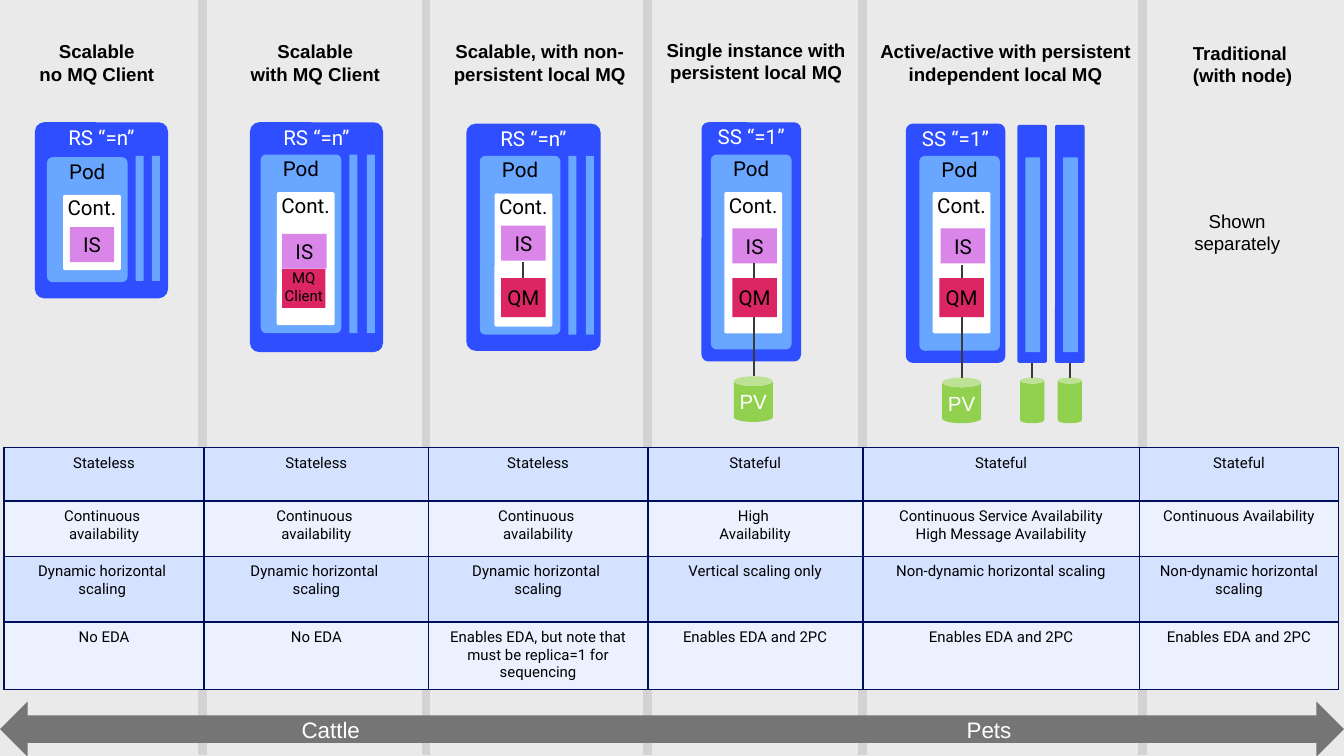
from lxml import etree
from pptx import Presentation
from pptx.dml.color import RGBColor
from pptx.enum.shapes import MSO_CONNECTOR, MSO_SHAPE
from pptx.enum.text import MSO_ANCHOR, PP_ALIGN
from pptx.oxml.ns import qn
from pptx.util import Pt

ROUNDED, CAN = MSO_SHAPE.ROUNDED_RECTANGLE, MSO_SHAPE.CAN
LEFT_ARROW, RIGHT_ARROW = MSO_SHAPE.LEFT_ARROW, MSO_SHAPE.RIGHT_ARROW
STRAIGHT = MSO_CONNECTOR.STRAIGHT
TOP, MIDDLE, CENTER = MSO_ANCHOR.TOP, MSO_ANCHOR.MIDDLE, PP_ALIGN.CENTER
SCALE = 9144
SLIDE_WIDTH, DIVIDER_HEIGHT = 1000, 562

COLORS = {
    "background": "EAEAEA", "divider": "D3D3D3", "link": "3A3A3A", "set": "2F4EFF",
    "pod": "69A6FF", "container": "FFFFFF", "server": "DA85E8", "queue": "DB2663",
    "volume": "92D050", "arrow": "757575", "black": "000000", "white": "FFFFFF",
    "border": "000E5E", "row_dark": "D4E1FF", "row_light": "EBF1FF",
}
ROBOTO = {"name": "Roboto", "size": Pt(11)}
SMALL = {"name": "Roboto", "size": Pt(8)}
ARIAL = {"name": "Arial", "size": Pt(11)}
HEADING = {"name": "Arial", "size": Pt(10), "bold": True}
NOTE = {"name": "Arial", "size": Pt(10)}
ARROW = {"name": "Arial", "size": Pt(12)}

PARTS = {
    "set": (ROUNDED, 0.069, "set", "", ROBOTO, "white", TOP),
    "pod": (ROUNDED, 0.069, "pod", "Pod", ROBOTO, "black", TOP),
    "replica": (ROUNDED, 0.069, "pod", "", ROBOTO, "black", TOP),
    "container": (ROUNDED, 0.031, "container", "Cont.", ROBOTO, "black", TOP),
    "server": (ROUNDED, 0, "server", "IS", ROBOTO, "black", MIDDLE),
    "manager": (ROUNDED, 0, "queue", "QM", ROBOTO, "black", MIDDLE),
    "client": (ROUNDED, 0, "queue", "MQ Client", SMALL, "black", TOP),
    "volume": (CAN, 0.25, "volume", "PV", ARIAL, "white", MIDDLE),
    "spare_volume": (CAN, 0.25, "volume", "", ARIAL, "white", MIDDLE),
}
SPARE = ([("replica", 6, 24, 11, 145), ("spare_volume", 2, 188, 18, 34)],
         [(11, 177, 188)])
DEPLOYMENTS = [
    ((26, 91, 99, 131), "RS “=n”", [
        ("pod", 9, 26, 60, 93), ("container", 21, 54, 43, 56), ("server", 26, 78, 33, 26),
        ("replica", 75, 25, 6, 93), ("replica", 87, 25, 6, 93)], []),
    ((186, 91, 99, 171), "RS “=n”", [
        ("pod", 8, 24, 60, 133), ("container", 20, 52, 43, 99), ("server", 24, 83, 33, 26),
        ("client", 24, 109, 32, 29),
        ("replica", 74, 24, 6, 133), ("replica", 87, 24, 6, 133)], []),
    ((347, 92, 100, 169), "RS “=n”", [
        ("pod", 10, 24, 60, 133), ("container", 21, 52, 43, 99), ("server", 26, 76, 33, 26),
        ("manager", 26, 115, 33, 29),
        ("replica", 76, 24, 6, 133), ("replica", 89, 24, 6, 133)], [(42, 103, 115)]),
    ((522, 91, 74, 178), "SS “=1”", [
        ("pod", 7, 24, 60, 145), ("container", 17, 52, 43, 105), ("server", 23, 79, 33, 26),
        ("manager", 23, 116, 33, 29), ("volume", 24, 189, 29, 34)],
     [(39, 105, 116), (39, 145, 189)]),
    ((674, 92, 74, 178), "SS “=1”", [
        ("pod", 10, 24, 60, 145), ("container", 20, 51, 43, 105), ("server", 26, 78, 33, 26),
        ("manager", 25, 115, 33, 29), ("volume", 27, 189, 29, 34)],
     [(42, 105, 115), (42, 144, 189)]),
    ((757, 93, 22, 177), "", *SPARE),
    ((785, 93, 22, 177), "", *SPARE),
]
DIVIDERS = [151, 317, 482, 642, 850]
LABELS = [
    ((0, 1, 144, 91), "Scalable\nno MQ Client", HEADING),
    ((157, 1, 155, 91), "Scalable\nwith MQ Client", HEADING),
    ((325, 1, 153, 91), "Scalable, with non-persistent local MQ", HEADING),
    ((486, 0, 153, 91), "Single instance with persistent local MQ", HEADING),
    ((646, 0, 204, 93), "Active/active with persistent independent local MQ", HEADING),
    ((853, 0, 143, 95), "Traditional \n(with node)", HEADING),
    ((879, 125, 83, 95), "Shown separately", NOTE),
]
COLUMN_WIDTHS = [149, 167, 163, 160, 206, 148]
ROW_HEIGHTS = [40, 41, 49, 49]
EDA = "Enables EDA and 2PC"
ROWS = [
    ["Stateless"] * 3 + ["Stateful"] * 3,
    ["Continuous \navailability"] * 3 + [
        "High \nAvailability",
        "Continuous Service Availability\nHigh Message Availability",
        "Continuous Availability"],
    ["Dynamic horizontal \nscaling "] + ["Dynamic horizontal \nscaling"] * 2 + [
        "Vertical scaling only"] + ["Non-dynamic horizontal scaling"] * 2,
    ["No EDA"] * 2 + [
        "Enables EDA, but note that must be replica=1 for sequencing"] + [EDA] * 3,
]


def px(*lengths):
    """Turn px lengths into EMU."""
    return [length * SCALE for length in lengths]


def rgb(name):
    """Look up a named colour."""
    return RGBColor.from_string(COLORS[name])


def write_text(frame, text, font, color):
    """Write centred paragraphs, one for each line of text."""
    frame.text = text
    for paragraph in frame.paragraphs:
        paragraph.alignment = CENTER
        for name, value in font.items():
            setattr(paragraph.font, name, value)
        paragraph.font.color.rgb = rgb(color)


def format_frame(frame, anchor):
    """Remove the insets of a text frame and set its wrap and anchor."""
    values = {"margin_left": 0, "margin_right": 0, "margin_top": 0, "margin_bottom": 0,
              "word_wrap": True, "vertical_anchor": anchor}
    for name, value in values.items():
        setattr(frame, name, value)


def add_block(slide, kind, box, fill, text, font, color, anchor):
    """Add a filled preset shape with optional text."""
    shape = slide.shapes.add_shape(kind, *px(*box))
    shape.shadow.inherit = False
    shape.fill.solid()
    shape.fill.fore_color.rgb = rgb(fill)
    shape.line.fill.background()
    format_frame(shape.text_frame, anchor)
    if text:
        write_text(shape.text_frame, text, font, color)
    return shape


def add_part(slide, part, box, text=None):
    """Add one named part of a deployment."""
    kind, adjustment, fill, default_text, font, color, anchor = PARTS[part]
    shape = add_block(slide, kind, box, fill, text or default_text, font, color, anchor)
    shape.adjustments[0] = adjustment


def add_vertical(slide, x, top, bottom, color, width):
    """Add a vertical line without a shadow."""
    connector = slide.shapes.add_connector(STRAIGHT, *px(x, top, x, bottom))
    connector.line.color.rgb = rgb(color)
    connector.line.width = Pt(width)
    etree.SubElement(connector._element.spPr, qn("a:effectLst"))


def add_deployment(slide, box, label, parts, links):
    """Draw a replica or stateful set with its parts and links inside a box."""
    left, top = box[:2]
    add_part(slide, "set", box, label)
    for part, x, y, width, height in parts:
        add_part(slide, part, (left + x, top + y, width, height))
    for x, start, end in links:
        add_vertical(slide, left + x, top + start, top + end, "link", 1.25)


def add_label(slide, box, text, font):
    """Add a heading or note centred in a box."""
    frame = slide.shapes.add_textbox(*px(*box)).text_frame
    format_frame(frame, MIDDLE)
    write_text(frame, text, font, "black")


def add_borders(cell):
    """Give a cell a thin border on each side."""
    properties = cell._tc.get_or_add_tcPr()
    for side in ("a:lnL", "a:lnR", "a:lnT", "a:lnB"):
        line = etree.SubElement(properties, qn(side), w=str(Pt(1)))
        fill = etree.SubElement(line, qn("a:solidFill"))
        etree.SubElement(fill, qn("a:srgbClr"), val=COLORS["border"])


def add_comparison(slide, left, top):
    """Add the table that compares the deployments."""
    box = px(left, top, sum(COLUMN_WIDTHS), sum(ROW_HEIGHTS))
    table = slide.shapes.add_table(len(ROWS), len(COLUMN_WIDTHS), *box).table
    table.first_row = table.horz_banding = False
    for column, width in zip(table.columns, COLUMN_WIDTHS):
        column.width = width * SCALE
    for index, (row, height, texts) in enumerate(zip(table.rows, ROW_HEIGHTS, ROWS)):
        row.height = height * SCALE
        for cell, text in zip(row.cells, texts):
            add_borders(cell)
            cell.fill.solid()
            cell.fill.fore_color.rgb = rgb("row_light" if index % 2 else "row_dark")
            write_text(cell.text_frame, text, SMALL, "black")


def main():
    """Build the slide and save it."""
    presentation = Presentation()
    presentation.slide_width = SLIDE_WIDTH * SCALE
    presentation.slide_height = presentation.slide_width * 9 // 16
    slide = presentation.slides.add_slide(presentation.slide_layouts[6])
    slide.background.fill.solid()
    slide.background.fill.fore_color.rgb = rgb("background")
    for x in DIVIDERS:
        add_vertical(slide, x, 0, DIVIDER_HEIGHT, "divider", 4.75)
    for box, text, font in LABELS:
        add_label(slide, box, text, font)
    for deployment in DEPLOYMENTS:
        add_deployment(slide, *deployment)
    add_comparison(slide, 3, 333)
    for kind, box, text in [(RIGHT_ARROW, (482, 522, 518, 41), "Pets"),
                            (LEFT_ARROW, (0, 522, 482, 41), "Cattle")]:
        add_block(slide, kind, box, "arrow", text, ARROW, "white", MIDDLE)
    presentation.save("out.pptx")


if __name__ == "__main__":
    main()
